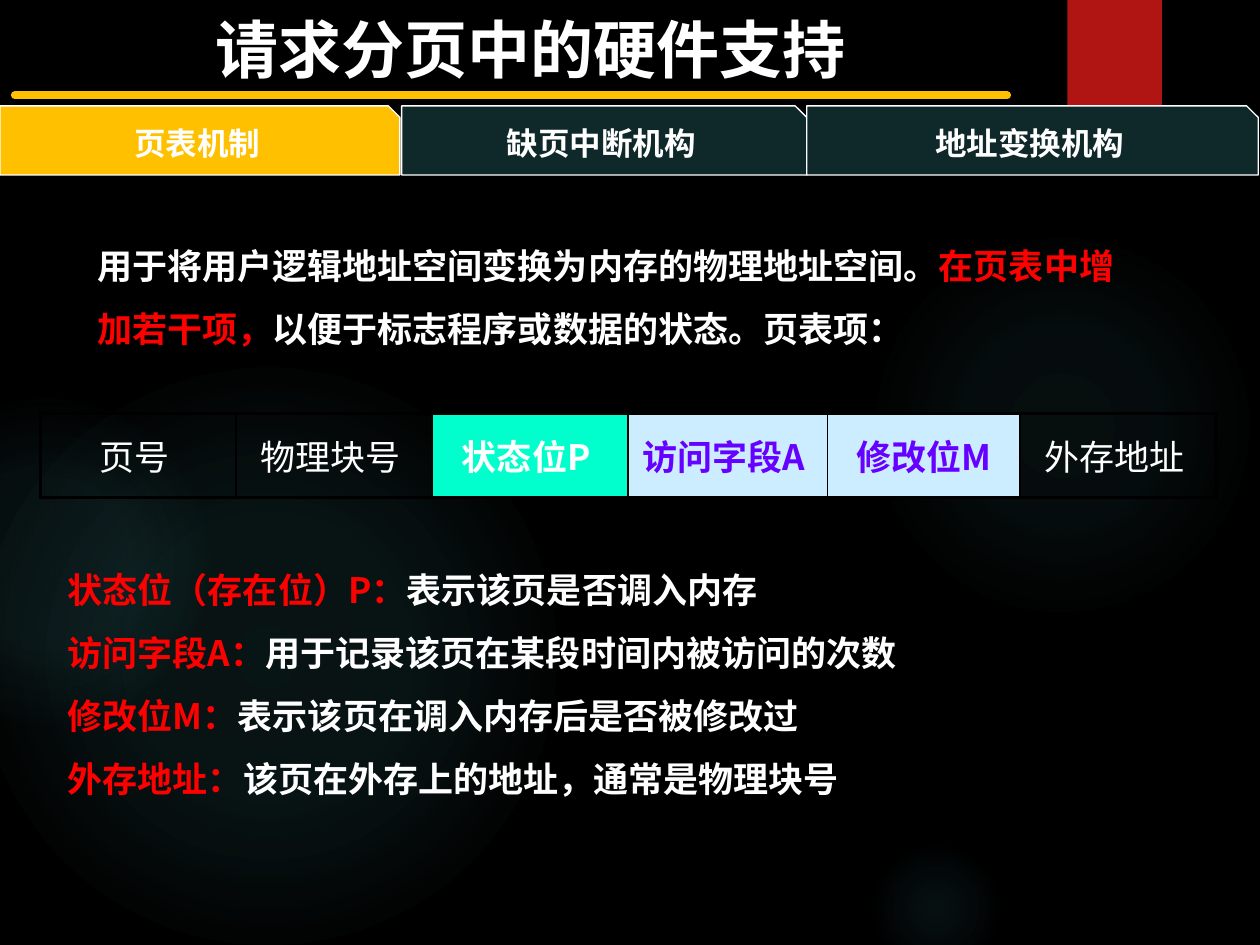
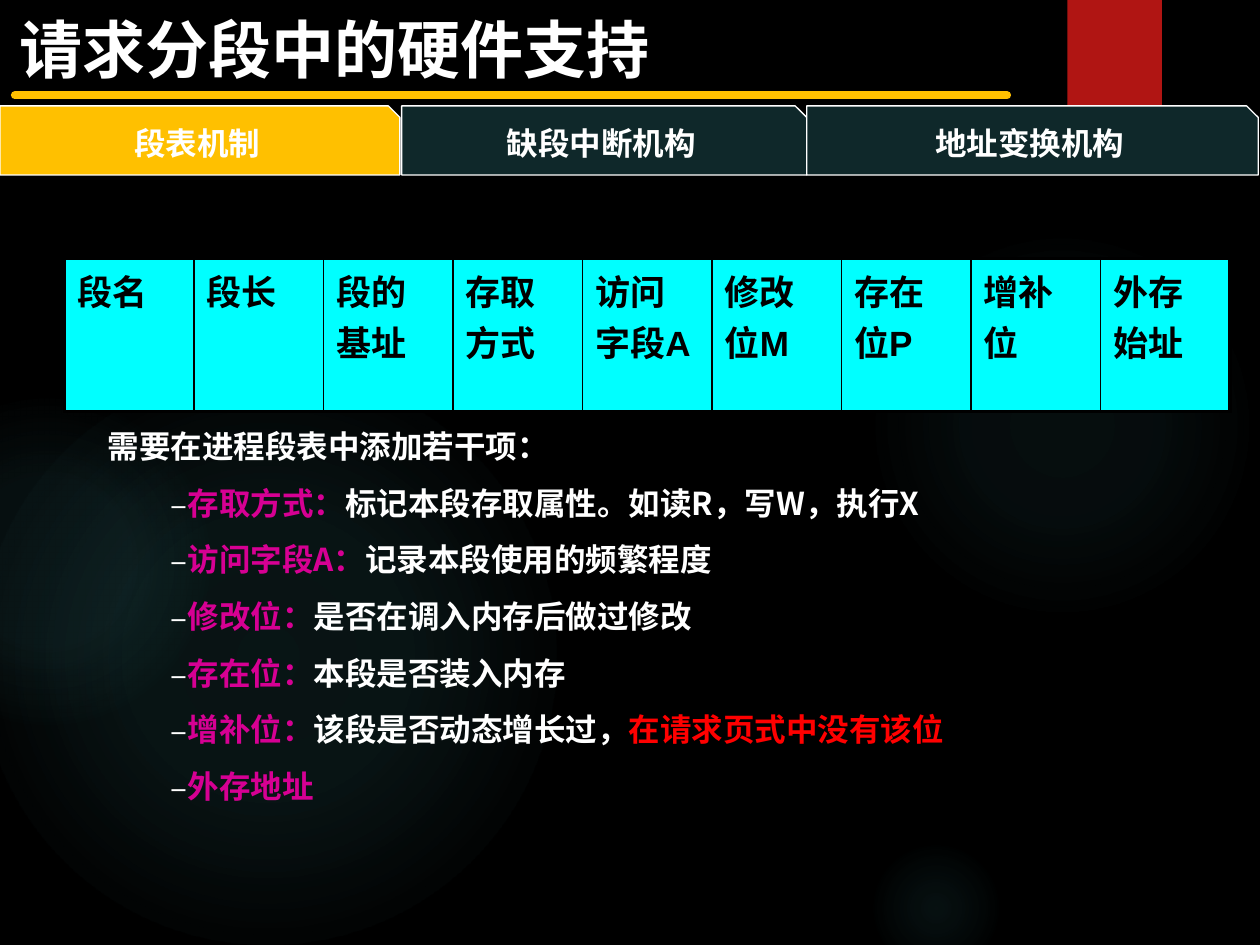
"""Build two slides on hardware support for demand paging and demand segmentation."""
from dataclasses import dataclass

from lxml.etree import SubElement
from pptx import Presentation
from pptx.dml.color import RGBColor
from pptx.enum.shapes import MSO_CONNECTOR, MSO_SHAPE
from pptx.enum.text import MSO_ANCHOR, MSO_AUTO_SIZE, PP_ALIGN
from pptx.oxml import parse_xml
from pptx.oxml.ns import nsdecls, qn
from pptx.util import Pt


@dataclass(frozen=True)
class Theme:
    """Colours, fonts and type sizes of the deck."""
    black: str = "000000"
    white: str = "FFFFFF"
    glow: str = "50B9C1"
    ribbon: str = "B01513"
    gold: str = "FFC000"
    tab: str = "0F282A"
    red: str = "FF0000"
    magenta: str = "D60093"
    purple: str = "6600FF"
    mint: str = "00FFCC"
    pale: str = "CCECFF"
    cyan: str = "00FFFF"
    font: str = "Noto Sans CJK SC"
    latin: str = "Arial"
    title_size: int = 36
    text_size: int = 20
    small_size: int = 18


THEME = Theme()

GLOWS = [
    ((496, 132, 222), [(0, 7), (36, 6), (69, 0)]),
    ((496, 480, 78), [(0, 9), (36, 5), (66, 0)]),
    ((-12, 210, 330), [(0, 11), (36, 10), (75, 0)]),
    ((-66, 228, 186), [(0, 8), (36, 8), (72, 0)]),
]
TAB_SPANS = [(0, 228.5), (229.5, 231.5), (461, 258)]
TAB_TOP, TAB_HEIGHT = 60.5, 39.5

PAGING = {
    "title": "请求分页中的硬件支持 ",
    "title_width": 614,
    "tabs": ["页表机制", "缺页中断机构", "地址变换机构"],
    "intro": [
        ("用于将用户逻辑地址空间变换为内存的物理地址空间。", THEME.white),
        ("在页表中增加若干项，", THEME.red),
        ("以便于标志程序或数据的状态。页表项：", THEME.white),
    ],
    "fields": [
        ("页号 ", None, THEME.white),
        ("物理块号 ", None, THEME.white),
        ("状态位P ", THEME.mint, THEME.white),
        ("访问字段A ", THEME.pale, THEME.purple),
        ("修改位M", THEME.pale, THEME.purple),
        ("外存地址 ", None, THEME.white),
    ],
    "widths": [112, 112, 112, 114, 110, 112],
    "meanings": [
        ("状态位（存在位）P：", "表示该页是否调入内存"),
        ("访问字段A：", "用于记录该页在某段时间内被访问的次数"),
        ("修改位M：", "表示该页在调入内存后是否被修改过"),
        ("外存地址：", "该页在外存上的地址，通常是物理块号"),
    ],
}
SEGMENTS = {
    "title": "请求分段中的硬件支持 ",
    "title_width": 381.5,
    "tabs": ["段表机制", "缺段中断机构", "地址变换机构"],
    "fields": ["段名", "段长", "段的基址", "存取方式", "访问字段A",
               "修改位M", "存在位P", "增补位", "外存始址"],
    "lead": "需要在进程段表中添加若干项：",
    "meanings": [
        ("存取方式：", "标记本段存取属性。如读R，写W，执行X"),
        ("访问字段A：", "记录本段使用的频繁程度"),
        ("修改位：", "是否在调入内存后做过修改"),
        ("存在位：", "本段是否装入内存"),
        ("增补位：", "该段是否动态增长过，", "在请求页式中没有该位"),
        ("外存地址",),
    ],
}


def rgb(value):
    """Turn a hex string into a colour."""
    return RGBColor.from_string(value)


def style(span, size, colour, bold=True, latin=THEME.font):
    """Format one run for Latin and East Asian text."""
    span.font.size = Pt(size)
    span.font.bold = bold
    span.font.color.rgb = rgb(colour)
    span.font.name = latin
    SubElement(span._r.get_or_add_rPr(), qn("a:ea")).set("typeface", THEME.font)


def place(box, left, top, width, height):
    """Move and size a shape."""
    box.left, box.top, box.width, box.height = map(Pt, (left, top, width, height))


def paint(shape, fill, line=None):
    """Give a shape a flat fill, an optional outline and no shadow."""
    shape.shadow.inherit = False
    shape.fill.solid()
    shape.fill.fore_color.rgb = rgb(fill)
    if line:
        shape.line.color.rgb = rgb(line)
        shape.line.width = Pt(0.75)
    else:
        shape.line.fill.background()


def set_bullet(para, dashed):
    """Give a paragraph a hanging dash, or no bullet at all."""
    props = para._p.get_or_add_pPr()
    hang = Pt(9.2) if dashed else 0
    props.set("marL", str(Pt(36) + hang if dashed else 0))
    props.set("indent", str(-hang))
    if not dashed:
        SubElement(props, qn("a:buNone"))
        return
    colour = SubElement(props, qn("a:buClr"))
    SubElement(colour, qn("a:srgbClr")).set("val", THEME.white)
    SubElement(props, qn("a:buFont")).set("typeface", THEME.font)
    SubElement(props, qn("a:buChar")).set("char", "–")


def write_lines(box, lines, size):
    """Fill a box with (dashed, spans) lines at one and a half spacing."""
    frame = box.text_frame
    frame.word_wrap = True
    frame.auto_size = MSO_AUTO_SIZE.NONE
    for index, (dashed, spans) in enumerate(lines):
        para = frame.add_paragraph() if index else frame.paragraphs[0]
        para.level = int(dashed)
        set_bullet(para, dashed)
        para.line_spacing = 1.5
        para.space_before = Pt(0)
        for text, colour in spans:
            span = para.add_run()
            span.text = text
            style(span, size, colour)


def add_glow(page, spot, stops):
    """Draw a round glow that fades outwards."""
    left, top, size = spot
    glow = page.shapes.add_shape(MSO_SHAPE.OVAL, Pt(left), Pt(top), Pt(size), Pt(size))
    glow.shadow.inherit = False
    marks = "".join(
        f'<a:gs pos="{pos * 1000}"><a:srgbClr val="{THEME.glow}">'
        f'<a:alpha val="{alpha * 1000}"/></a:srgbClr></a:gs>' for pos, alpha in stops)
    gradient = parse_xml(
        f'<a:gradFill {nsdecls("a")} rotWithShape="1"><a:gsLst>{marks}</a:gsLst>'
        '<a:path path="circle"><a:fillToRect l="50000" t="50000" r="50000" b="50000"/>'
        '</a:path></a:gradFill>')
    glow.element.spPr.find(qn("a:prstGeom")).addnext(gradient)
    glow.line.fill.background()
    return glow


def decorate_master(deck, page):
    """Draw the shared background once and move it to the slide master."""
    master = deck.slide_master
    master.background.fill.solid()
    master.background.fill.fore_color.rgb = rgb(THEME.black)
    parts = [add_glow(page, spot, stops) for spot, stops in GLOWS]
    ribbon = page.shapes.add_shape(MSO_SHAPE.RECTANGLE, Pt(610), Pt(0), Pt(54), Pt(86.5))
    paint(ribbon, THEME.ribbon)
    rule = page.shapes.add_connector(
        MSO_CONNECTOR.STRAIGHT, Pt(8.5), Pt(54.5), Pt(575.5), Pt(54.5))
    rule.line.color.rgb = rgb(THEME.gold)
    rule.line.width = Pt(4.5)
    line = rule.element.spPr.find(qn("a:ln"))
    line.set("cap", "rnd")
    SubElement(rule.element.spPr, qn("a:effectLst"))
    for index, part in enumerate(parts + [ribbon, rule]):
        part.element.xpath(".//p:cNvPr")[0].set("id", str(100 + index))
        master.shapes.element.insert(2 + index, part.element)


def add_heading(page, content):
    """Fill the title and draw the row of tabs, the first one active."""
    title = page.shapes.title
    place(title, 0.5, 2, content["title_width"], 51)
    frame = title.text_frame
    frame.text = content["title"]
    frame.word_wrap = True
    frame.auto_size = MSO_AUTO_SIZE.NONE
    frame.vertical_anchor = MSO_ANCHOR.MIDDLE
    para = frame.paragraphs[0]
    para.alignment = PP_ALIGN.CENTER
    style(para.runs[0], THEME.title_size, THEME.white)
    for index, (label, (left, width)) in enumerate(zip(content["tabs"], TAB_SPANS)):
        tab = page.shapes.add_shape(MSO_SHAPE.SNIP_1_RECTANGLE, Pt(left), Pt(TAB_TOP),
                                    Pt(width), Pt(TAB_HEIGHT))
        paint(tab, THEME.tab if index else THEME.gold, THEME.white)
        tab.text_frame.text = label
        tab.text_frame.vertical_anchor = MSO_ANCHOR.MIDDLE
        para = tab.text_frame.paragraphs[0]
        para.alignment = PP_ALIGN.CENTER
        style(para.runs[0], THEME.small_size, THEME.white)


def add_border(cell, side, width):
    """Draw one black cell border."""
    line = SubElement(cell._tc.get_or_add_tcPr(), qn(f"a:ln{side}"), w=str(Pt(width)))
    fill = SubElement(line, qn("a:solidFill"))
    SubElement(fill, qn("a:srgbClr")).set("val", THEME.black)


def add_field_table(page, corner, height, widths, fields):
    """Add a one-row table and return its cells with their runs."""
    left, top = corner
    table = page.shapes.add_table(
        1, len(fields), Pt(left), Pt(top), Pt(sum(widths)), Pt(height)).table
    table.first_row = table.horz_banding = False
    last = len(fields) - 1
    for index, (text, fill, colour, bold, latin) in enumerate(fields):
        table.columns[index].width = Pt(widths[index])
        cell = table.cell(0, index)
        cell.text = text
        style(cell.text_frame.paragraphs[0].runs[0], THEME.text_size, colour, bold, latin)
        for side, width in (("L", 1 if index else 2.25), ("R", 1 if index < last else 2.25),
                            ("T", 2.25), ("B", 2.25)):
            add_border(cell, side, width)
        if fill:
            cell.fill.solid()
            cell.fill.fore_color.rgb = rgb(fill)
        else:
            cell.fill.background()
    return table


def build_paging(page):
    """Lay out the page table slide."""
    add_heading(page, PAGING)
    fields = [(text, fill, colour, bool(fill), THEME.font if fill else THEME.latin)
              for text, fill, colour in PAGING["fields"]]
    table = add_field_table(page, (23, 236.2), 48, PAGING["widths"], fields)
    for cell in table.iter_cells():
        cell.vertical_anchor = MSO_ANCHOR.MIDDLE
        cell.text_frame.paragraphs[0].alignment = PP_ALIGN.CENTER
    intro = page.shapes.add_textbox(Pt(48.5), Pt(124), Pt(601), Pt(80))
    write_lines(intro, [(False, PAGING["intro"])], THEME.text_size)
    body = page.placeholders[1]
    place(body, 31.5, 309.5, 628, 153)
    lines = [(False, zip(pair, (THEME.red, THEME.white))) for pair in PAGING["meanings"]]
    write_lines(body, lines, THEME.text_size)


def build_segments(page):
    """Lay out the segment table slide."""
    add_heading(page, SEGMENTS)
    fields = [(text, THEME.cyan, THEME.black, True, THEME.latin)
              for text in SEGMENTS["fields"]]
    add_field_table(page, (37, 147.6), 54, [74] * len(fields), fields)
    body = page.placeholders[1]
    place(body, 54.5, 229.5, 572.5, 280)
    lines = [(False, [(SEGMENTS["lead"], THEME.white)])]
    lines += [(True, zip(parts, (THEME.magenta, THEME.white, THEME.red)))
              for parts in SEGMENTS["meanings"]]
    write_lines(body, lines, THEME.small_size)


def main():
    """Build and save the deck."""
    deck = Presentation()
    deck.slide_width, deck.slide_height = Pt(720), Pt(540)
    layout = deck.slide_layouts[1]
    pages = [deck.slides.add_slide(layout) for _ in range(2)]
    decorate_master(deck, pages[0])
    build_paging(pages[0])
    build_segments(pages[1])
    deck.save("out.pptx")


if __name__ == "__main__":
    main()
